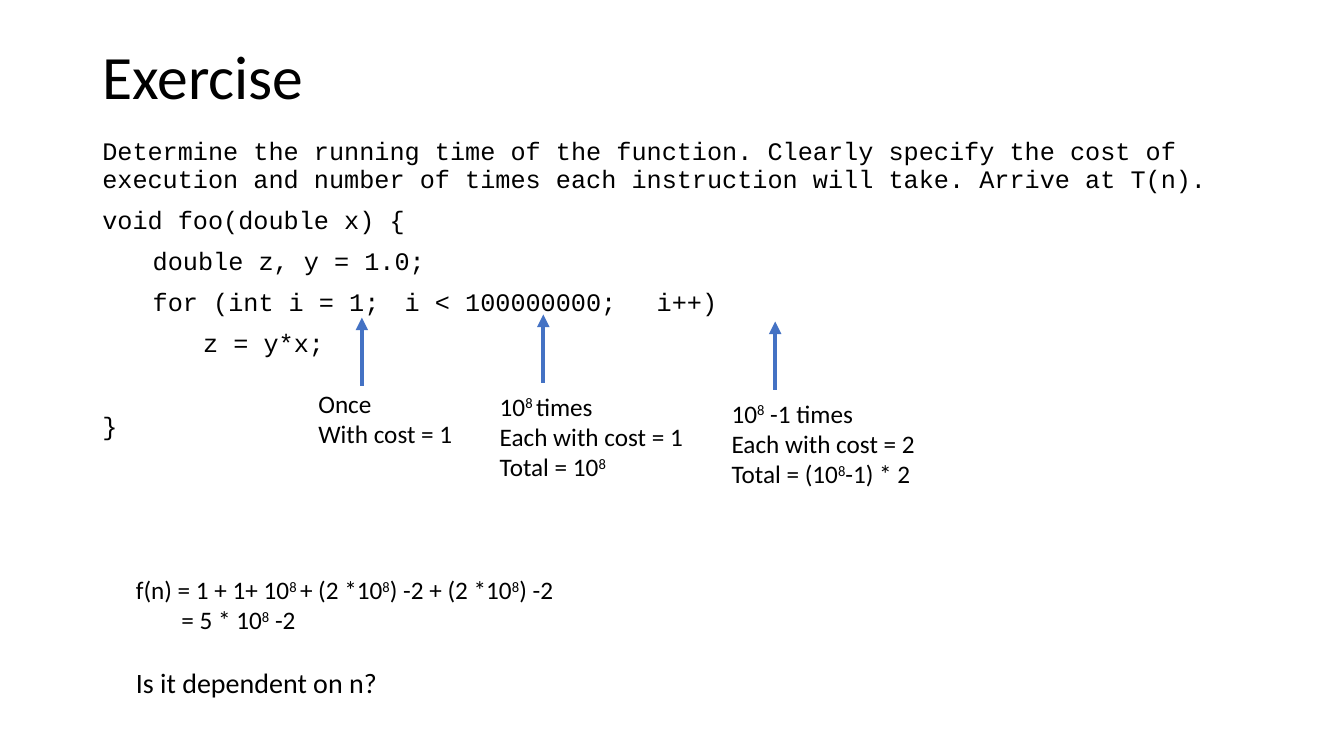
from pptx import Presentation
from pptx.dml.color import RGBColor
from pptx.enum.shapes import MSO_CONNECTOR
from pptx.enum.text import MSO_ANCHOR, MSO_AUTO_SIZE
from pptx.oxml.ns import qn
from pptx.util import Pt
from lxml.etree import SubElement

COLORS = {"ink": "000000", "arrow": "4472C4"}
SANS, MONO = "Calibri", "Courier New"


def write(para, text, font=SANS, size=18, color="ink", space=1.0, before=0, indent=0):
    """Fill a paragraph, raising each part between two carets."""
    para.line_spacing = space
    para.space_before = Pt(before)
    if indent:
        para._p.get_or_add_pPr().set("marL", str(Pt(indent)))
    for pos, part in enumerate(text.split("^")):
        if part:
            run = para.add_run()
            run.text = part
            run.font.name = font
            run.font.size = Pt(size)
            run.font.color.rgb = RGBColor.from_string(COLORS[color])
            if pos % 2:
                run._r.get_or_add_rPr().set("baseline", "30000")


class Deck:
    """Hold the slide and the style of its parts."""

    def __init__(self, width, height):
        self.prs = Presentation()
        self.prs.slide_width, self.prs.slide_height = Pt(width), Pt(height)
        self.slide = self.prs.slides.add_slide(self.prs.slide_layouts[6])

    def text(self, box, lines, home=None, wrap=True, anchor=MSO_ANCHOR.TOP, **style):
        """Add a text box whose lines are a string or a string with its format."""
        shapes = (home or self.slide).shapes
        frame = shapes.add_textbox(*map(Pt, box)).text_frame
        frame.word_wrap = wrap
        frame.vertical_anchor = anchor
        if not wrap:
            frame.auto_size = MSO_AUTO_SIZE.SHAPE_TO_FIT_TEXT
        for pos, line in enumerate(lines):
            para = frame.add_paragraph() if pos else frame.paragraphs[0]
            words, extra = (line, {}) if isinstance(line, str) else line
            write(para, words, **{**style, **extra})

    def arrow(self, x, top, length, home):
        """Add an arrow that points up."""
        line = home.shapes.add_connector(
            MSO_CONNECTOR.STRAIGHT, Pt(x), Pt(top), Pt(x), Pt(top + length))
        line.line.color.rgb = RGBColor.from_string(COLORS["arrow"])
        line.line.width = Pt(3)
        SubElement(line.line._get_or_add_ln(), qn("a:headEnd"), type="triangle")
        SubElement(line._element.spPr, qn("a:effectLst"))

    def note(self, left, top, width, height, tip, lines):
        """Group a caption with the arrow above it."""
        group = self.slide.shapes.add_group_shape()
        self.arrow(left + 38.2, tip, 49, group)
        self.text((left, top, width, height), lines, home=group, wrap=False)


def main():
    """Build the exercise slide."""
    deck = Deck(960, 540)
    deck.text((66, 28.8, 834, 56.2), ["Exercise"], size=44, space=0.9,
              anchor=MSO_ANCHOR.MIDDLE)
    deck.text((66, 95.8, 828, 390), [
        "Determine the running time of the function. Clearly specify the cost of "
        "execution and number of times each instruction will take. Arrive at T(n).",
        "void foo(double x) {",
        "\tdouble z, y = 1.0;",
        "\tfor (int i = 1;\ti < 100000000;\ti++)",
        "\t\tz = y*x;",
        ("}", {"before": 39.5}),
    ], font=MONO, space=0.9, before=10)

    notes = [
        (220.3, 273.6, 111.6, 51.1, 226.8, ["Once", "With cost = 1"]),
        (349.9, 275.8, 146.9, 72.7, 224.6,
         ["10^8 ^times", "Each with cost = 1", "Total = 10^8^"]),
        (515.5, 280.8, 146.9, 72.7, 229.7,
         ["10^8^ -1 times", "Each with cost = 2", "Total = (10^8^-1) * 2"]),
    ]
    for item in notes:
        deck.note(*item)

    deck.text((90, 406.8, 340, 97.2), [
        "f(n) = 1 + 1+ 10^8 ^+ (2 *10^8^) -2 + (2 *10^8^) -2",
        ("= 5 * 10^8^ -2", {"indent": 32.5}),
        ("Is it dependent on n?", {"size": 20, "before": 22}),
    ])
    deck.prs.save("out.pptx")


if __name__ == "__main__":
    main()
